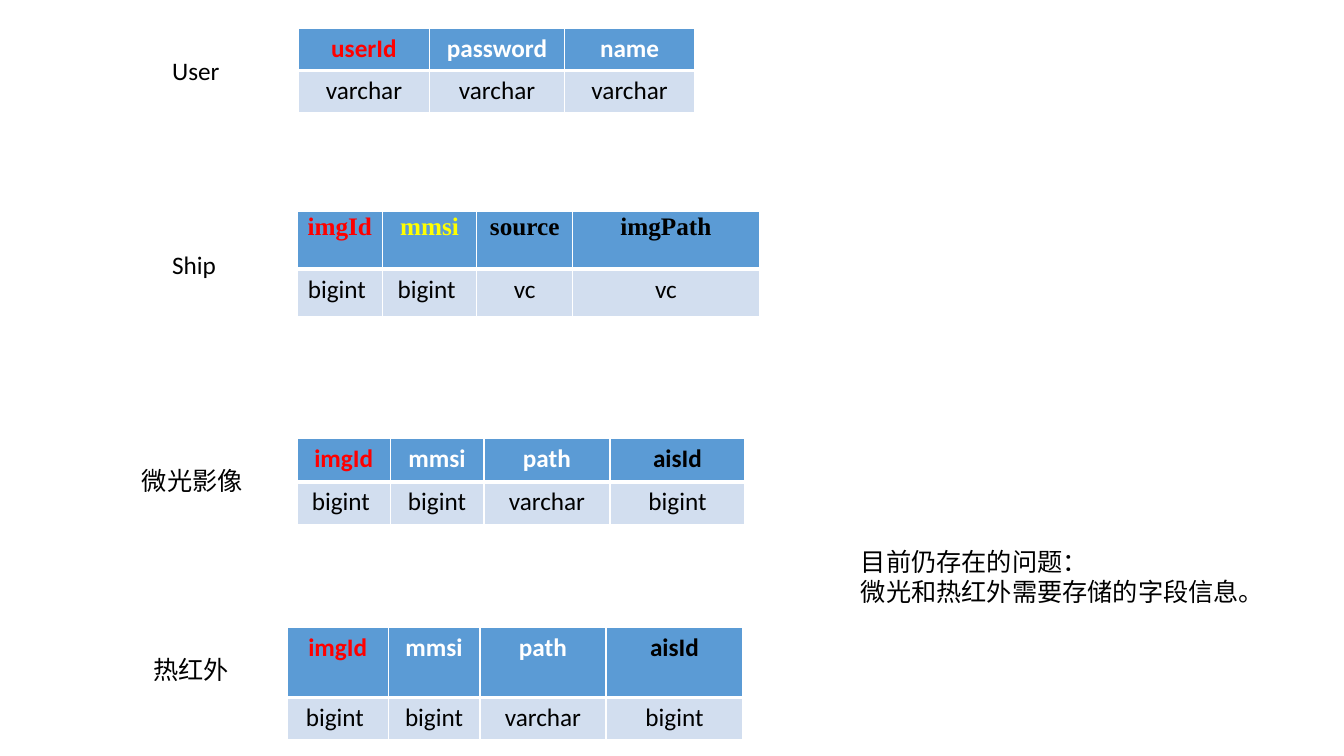
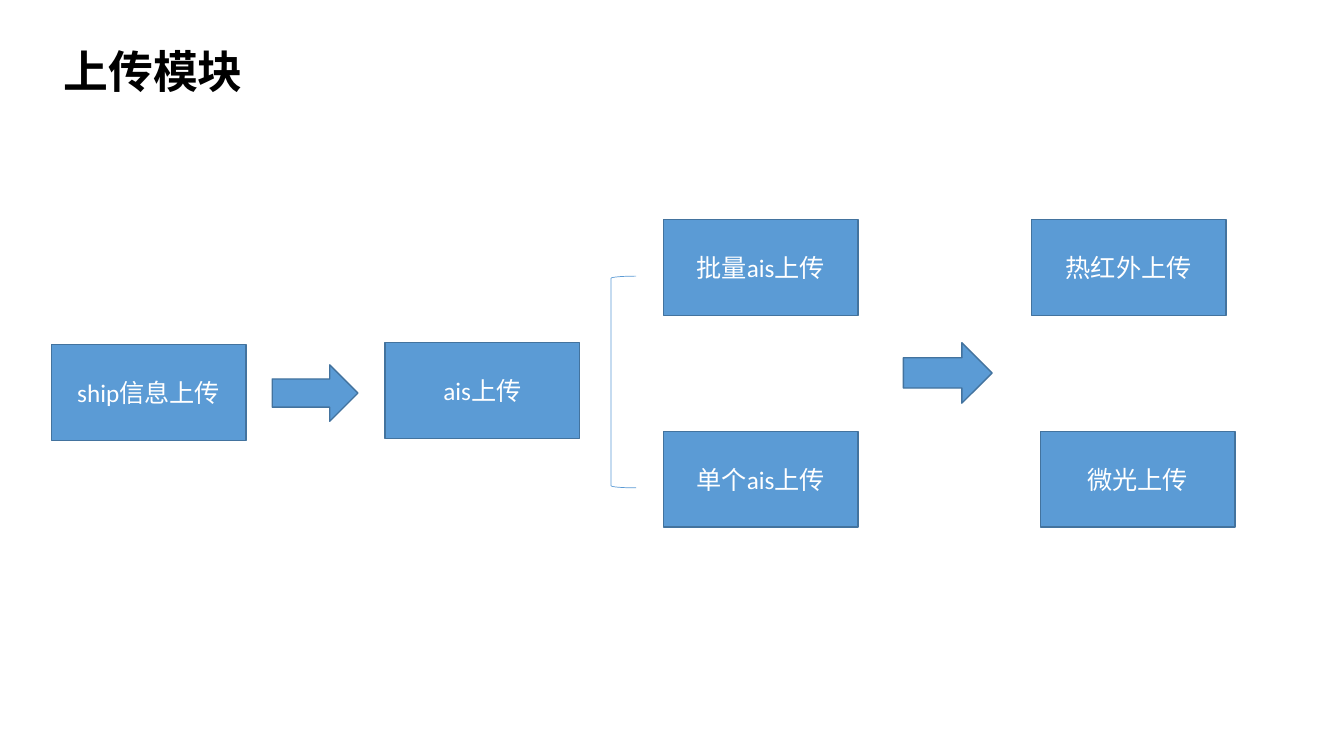
from dataclasses import dataclass

from lxml import etree
from pptx import Presentation
from pptx.dml.color import RGBColor
from pptx.enum.shapes import MSO_SHAPE
from pptx.enum.text import MSO_ANCHOR, MSO_AUTO_SIZE, PP_ALIGN
from pptx.oxml.ns import qn
from pptx.util import Inches, Pt

RECT, ARROW, BRACKET = MSO_SHAPE.RECTANGLE, MSO_SHAPE.RIGHT_ARROW, MSO_SHAPE.LEFT_BRACKET
TOP, MIDDLE = MSO_ANCHOR.TOP, MSO_ANCHOR.MIDDLE
LEFT, CENTER = PP_ALIGN.LEFT, PP_ALIGN.CENTER
NO_AUTOFIT = MSO_AUTO_SIZE.NONE
TITLE_ONLY, BLANK = 5, 6


@dataclass(frozen=True)
class Theme:
    blue: str = "5B9BD5"
    outline: str = "43739E"
    pale: str = "D2DEEF"
    white: str = "FFFFFF"
    black: str = "000000"
    primary_key: str = "FF0000"
    foreign_key: str = "FFFF00"
    font: str = "Calibri"
    serif: str = "Times New Roman"
    body: int = 18
    title: int = 32
    thin: float = 0.5
    line: float = 1
    header_rule: float = 3


THEME = Theme()

# Each field: name, type, header colour
IMAGE_FIELDS = [
    ("imgId", "bigint ", THEME.primary_key),
    ("mmsi", "bigint", THEME.white),
    ("path", "varchar", THEME.white),
    ("aisId", "bigint", THEME.black),
]
USER_FIELDS = [
    ("userId", "varchar", THEME.primary_key),
    ("password", "varchar", THEME.white),
    ("name", "varchar", THEME.white),
]
SHIP_FIELDS = [
    ("imgId", "bigint ", THEME.primary_key),
    ("mmsi", "bigint ", THEME.foreign_key),
    ("source", "vc", THEME.black),
    ("imgPath", "vc", THEME.black),
]

STEP_SIZE = (1.93, 0.95)
UPPER_ROW, LOWER_ROW = 2.18, 4.28


def rgb(code):
    return RGBColor.from_string(code)


def format_text(frame, color, size=THEME.body, bold=False, align=LEFT, font=THEME.font):
    for paragraph in frame.paragraphs:
        paragraph.alignment = align
        for run in paragraph.runs:
            run.font.name = font
            run.font.size = Pt(size)
            run.font.bold = bold
            run.font.color.rgb = rgb(color)


def add_label(slide, text, left, top, width, height=0.4):
    label = slide.shapes.add_textbox(*map(Inches, (left, top, width, height)))
    label.text_frame.word_wrap = True
    label.text_frame.text = text
    format_text(label.text_frame, THEME.black)


def set_borders(cell, top, bottom):
    """Draw white borders; must run before the cell is filled."""
    properties = cell._tc.get_or_add_tcPr()
    widths = {"lnL": THEME.line, "lnR": THEME.line, "lnT": top, "lnB": bottom}
    for side, width in widths.items():
        border = etree.SubElement(properties, qn(f"a:{side}"), w=str(Pt(width)))
        solid = etree.SubElement(border, qn("a:solidFill"))
        etree.SubElement(solid, qn("a:srgbClr"), val=THEME.white)


def add_schema(slide, fields, left, top, widths, heights, header_font=THEME.font,
               tight_header=False):
    """Table with field names above their types."""
    box = map(Inches, (left, top, sum(widths), sum(heights)))
    table = slide.shapes.add_table(2, len(fields), *box).table
    for row, height in zip(table.rows, heights):
        row.height = Inches(height)
    for index, (name, data_type, color) in enumerate(fields):
        table.columns[index].width = Inches(widths[index])
        header, body = table.cell(0, index), table.cell(1, index)
        header.text_frame.text = name
        body.text_frame.text = data_type
        set_borders(header, THEME.line, THEME.header_rule)
        set_borders(body, THEME.header_rule, THEME.line)
        for cell, fill in ((header, THEME.blue), (body, THEME.pale)):
            cell.fill.solid()
            cell.fill.fore_color.rgb = rgb(fill)
        format_text(header.text_frame, color, bold=True, align=CENTER, font=header_font)
        format_text(body.text_frame, THEME.black, align=CENTER)
        if tight_header:
            header.margin_left = header.margin_right = header.margin_top = Inches(0.01)


def add_flow_shape(slide, kind, left, top, width, height, text=""):
    shape = slide.shapes.add_shape(kind, *map(Inches, (left, top, width, height)))
    shape.shadow.inherit = False
    if kind == BRACKET:
        shape.fill.background()
        outline, weight = THEME.blue, THEME.thin
    else:
        shape.fill.solid()
        shape.fill.fore_color.rgb = rgb(THEME.blue)
        outline, weight = THEME.outline, THEME.line
    shape.line.color.rgb = rgb(outline)
    shape.line.width = Pt(weight)
    if text:
        shape.text_frame.text = text
        shape.text_frame.word_wrap = True
        shape.text_frame.vertical_anchor = MIDDLE
        format_text(shape.text_frame, THEME.white, align=CENTER)


def set_title(slide, text, left, top, width, height):
    title = slide.shapes.title
    title.left, title.top, title.width, title.height = map(Inches, (left, top, width, height))
    frame = title.text_frame
    frame.text = text
    frame.word_wrap = False
    frame.auto_size = NO_AUTOFIT
    frame.vertical_anchor = TOP
    frame.margin_left = frame.margin_right = 0
    format_text(frame, THEME.black, THEME.title, bold=True, align=CENTER)


def build_schema_slide(deck):
    slide = deck.slides.add_slide(deck.slide_layouts[BLANK])
    add_label(slide, "User", 1.61, 0.5, 1)
    add_schema(slide, USER_FIELDS, 2.96, 0.28, (1.3, 1.34, 1.29), (0.42, 0.42))
    add_label(slide, "Ship", 1.61, 2.42, 1.3)
    add_schema(slide, SHIP_FIELDS, 2.95, 2.1, (0.84, 0.94, 0.95, 1.85), (0.57, 0.47),
               header_font=THEME.serif, tight_header=True)
    add_label(slide, "微光影像", 1.31, 4.57, 1.3)
    add_schema(slide, IMAGE_FIELDS, 2.95, 4.35, (0.92, 0.93, 1.25, 1.34), (0.43, 0.42))
    add_label(slide, "热红外", 1.42, 6.44, 1.3)
    add_schema(slide, IMAGE_FIELDS, 2.85, 6.22, (1, 0.91, 1.25, 1.36), (0.7, 0.42))
    add_label(slide, "目前仍存在的问题：\n微光和热红外需要存储的字段信息。", 8.44, 5.37, 4.2, 0.71)


def build_upload_slide(deck):
    slide = deck.slides.add_slide(deck.slide_layouts[TITLE_ONLY])
    set_title(slide, "上传模块", 0.53, 0.38, 1.98, 0.64)
    steps = [
        ("ship信息上传", 0.51, 3.42),
        ("ais上传", 3.82, 3.4),
        ("批量ais上传", 6.58, UPPER_ROW),
        ("单个ais上传", 6.58, LOWER_ROW),
        ("热红外上传", 10.23, UPPER_ROW),
        ("微光上传", 10.32, LOWER_ROW),
    ]
    for text, left, top in steps:
        add_flow_shape(slide, RECT, left, top, *STEP_SIZE, text)
    add_flow_shape(slide, ARROW, 2.7, 3.62, 0.85, 0.56)
    add_flow_shape(slide, BRACKET, 6.06, 2.74, 0.25, LOWER_ROW - UPPER_ROW)
    add_flow_shape(slide, ARROW, 8.96, 3.4, 0.88, 0.6)


def main():
    deck = Presentation()
    deck.slide_width, deck.slide_height = Inches(13.33), Inches(7.5)
    build_schema_slide(deck)
    build_upload_slide(deck)
    deck.save("out.pptx")


if __name__ == "__main__":
    main()
